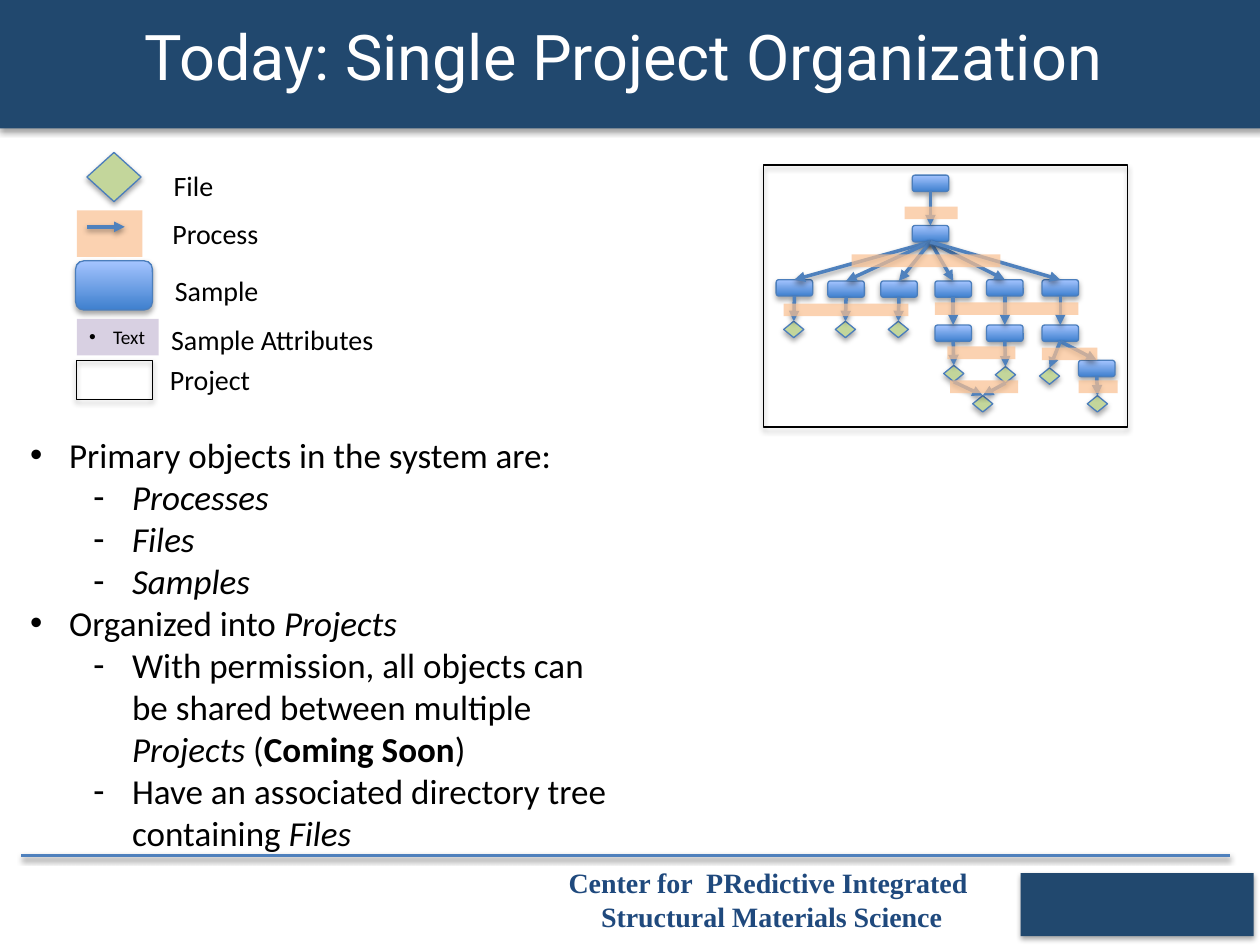
from lxml import etree
from pptx import Presentation
from pptx.dml.color import RGBColor
from pptx.enum.shapes import MSO_CONNECTOR, MSO_SHAPE
from pptx.enum.text import MSO_ANCHOR, MSO_AUTO_SIZE, PP_ALIGN
from pptx.oxml.ns import qn
from pptx.util import Inches, Pt

RECT, ROUND, DIAMOND = MSO_SHAPE.RECTANGLE, MSO_SHAPE.ROUNDED_RECTANGLE, MSO_SHAPE.DIAMOND
STRAIGHT = MSO_CONNECTOR.STRAIGHT
LEFT, CENTER = PP_ALIGN.LEFT, PP_ALIGN.CENTER
MIDDLE = MSO_ANCHOR.MIDDLE
GROW, FIXED = MSO_AUTO_SIZE.SHAPE_TO_FIT_TEXT, MSO_AUTO_SIZE.NONE
TOP, BOTTOM = 0, 2

NAVY, BLUE, OUTLINE = "21486E", "4F81BD", "4B7EBC"
GREEN, ORANGE, PURPLE = "C3D69B", "FAC090", "B3A2C7"
BLACK, WHITE, FOOTER = "000000", "FFFFFF", "1F497D"
SAMPLE_STOPS = ("3F80CE", "A4C4FF")


def rgb(value):
    return RGBColor.from_string(value)


def set_effects(sp, shadow, alpha=35, distance=1.8):
    """Replace the theme effects by a soft shadow below, or by none."""
    effects = etree.SubElement(sp._element.spPr, qn("a:effectLst"))
    if shadow:
        outer = etree.SubElement(effects, qn("a:outerShdw"), blurRad=str(Pt(3.1)),
                                 dist=str(Pt(distance)), dir="5400000", rotWithShape="0")
        color = etree.SubElement(outer, qn("a:srgbClr"), val=BLACK)
        etree.SubElement(color, qn("a:alpha"), val=str(alpha * 1000))


def set_bullet(p, char, indent, hanging):
    pPr = p._p.get_or_add_pPr()
    pPr.set("marL", str(Inches(indent)))
    pPr.set("indent", str(-Inches(hanging)))
    pPr.insert(0, etree.Element(qn("a:buFont"), typeface="Arial"))
    pPr.insert(1, etree.Element(qn("a:buChar"), char=char))


class Deck:
    """Holds the text style and the current slide."""

    def __init__(self, slide, font="Calibri", color=BLACK):
        self.shapes = slide.shapes
        self.font = font
        self.color = color

    def shape(self, kind, x, y, w, h, fill=None, line=None, alpha=None, shadow=True):
        sp = self.shapes.add_shape(kind, Inches(x), Inches(y), Inches(w), Inches(h))
        if fill is None:
            sp.fill.background()
        elif isinstance(fill, tuple):
            sp.fill.gradient()
            sp.fill.gradient_angle = 90
            for stop, color, position in zip(sp.fill.gradient_stops, fill, (0, 1)):
                stop.color.rgb = rgb(color)
                stop.position = position
        else:
            sp.fill.solid()
            sp.fill.fore_color.rgb = rgb(fill)
        if alpha:
            color = sp._element.spPr.find(qn("a:solidFill"))[0]
            etree.SubElement(color, qn("a:alpha"), val=str(alpha * 1000))
        if line:
            sp.line.color.rgb = rgb(line)
            sp.line.width = Pt(0.75)
        else:
            sp.line.fill.background()
        set_effects(sp, shadow)
        return sp

    def sample(self, x, y, w=0.29, h=0.13):
        return self.shape(ROUND, x, y, w, h, SAMPLE_STOPS, OUTLINE)

    def data_file(self, x, y, w=0.16, h=0.13):
        return self.shape(DIAMOND, x, y, w, h, GREEN, OUTLINE)

    def process(self, x, y, w, h=0.1):
        return self.shape(RECT, x, y, w, h, ORANGE, alpha=70, shadow=False)

    def project(self, x, y, w, h):
        return self.shape(RECT, x, y, w, h, line=BLACK)

    def line(self, x1, y1, x2, y2, arrow=False, ends=None):
        """Draw a line; ends are two shapes to join, bottom to top."""
        cx = self.shapes.add_connector(STRAIGHT, Inches(x1), Inches(y1), Inches(x2), Inches(y2))
        if ends:
            cx.begin_connect(ends[0], BOTTOM)
            cx.end_connect(ends[1], TOP)
        cx.line.color.rgb = rgb(BLUE)
        cx.line.width = Pt(2)
        if arrow:
            ln = cx._element.spPr.find(qn("a:ln"))
            etree.SubElement(ln, qn("a:tailEnd"), type="triangle")
        set_effects(cx, True, 38, 1.6)

    def link(self, start, end):
        self.line(0, 0, 0, 0, arrow=True, ends=(start, end))

    def paragraph(self, p, runs, size, align=LEFT, font=None, color=None, bold=None):
        """Fill a paragraph with (text, style) runs; style is '', 'i' or 'b'."""
        p.alignment = align
        p.font.size = Pt(size)
        p.font.name = font or self.font
        p.font.color.rgb = rgb(color or self.color)
        p.font.bold = bold
        styles = {style for _, style in runs}
        if styles == {"i"}:
            p.font.italic = True
        for text, style in runs:
            r = p.add_run()
            r.text = text
            if len(styles) > 1 and style:
                r.font.italic = style == "i"
                r.font.bold = style == "b"

    def text(self, x, y, w, h, paragraphs, size, wrap=True, auto_size=GROW, **style):
        box = self.shapes.add_textbox(Inches(x), Inches(y), Inches(w), Inches(h))
        tf = box.text_frame
        tf.word_wrap = wrap
        tf.auto_size = auto_size
        for i, runs in enumerate(paragraphs):
            p = tf.add_paragraph() if i else tf.paragraphs[0]
            self.paragraph(p, runs, size, **style)
        return tf


def add_frame(deck):
    deck.line(0.17, 6.79, 9.76, 6.79)
    deck.shape(RECT, 8.1, 6.93, 1.85, 0.5, NAVY)
    deck.text(3.71, 6.82, 4.83, 0.64,
              [[("Center for  PRedictive Integrated ", "")], [("Structural Materials Science", "")]],
              16, align=CENTER, font="Times New Roman", color=FOOTER, bold=True)
    deck.shape(RECT, 0, 0, 10.02, 1.02, NAVY)
    tf = deck.text(0.45, -0.14, 9, 1.16, [[("Today: Single Project Organization", "")]], 36,
                   auto_size=FIXED, align=CENTER, font="Roboto", color=WHITE)
    tf.vertical_anchor = MIDDLE
    tf.paragraphs[0].space_before = Pt(6)


def add_project_tree(deck):
    root, hub = [deck.sample(7.24, y) for y in (1.39, 1.79)]
    left = [deck.sample(x, y) for x, y in ((6.16, 2.22), (6.57, 2.23), (6.99, 2.23))]
    columns = (7.42, 7.83, 8.27)
    right = [deck.sample(x, y) for x, y in zip(columns, (2.23, 2.22, 2.22))]
    lower = [deck.sample(x, 2.58) for x in columns]
    last = deck.sample(8.56, 2.86)
    left_files = [deck.data_file(x, 2.55) for x in (6.22, 6.63, 7.05)]
    pair = [deck.data_file(7.49, 2.9), deck.data_file(7.9, 2.91)]
    merged, last_file = [deck.data_file(x, 3.14) for x in (7.72, 8.63)]
    side_file = deck.data_file(8.25, 2.92)

    links = [(root, hub), *((hub, s) for s in left + right),
             *zip(left, left_files), *zip(right, lower), *zip(lower, pair),
             (lower[2], last), (lower[2], side_file),
             *((f, merged) for f in pair), (last, last_file)]
    for start, end in links:
        deck.link(start, end)
    for x, y, w in ((7.18, 1.64, 0.42), (6.76, 2.02, 1.18), (6.22, 2.41, 0.99),
                    (7.42, 2.4, 1.14), (7.52, 2.75, 0.54), (8.27, 2.76, 0.44),
                    (7.54, 3.02, 0.54), (8.56, 3.02, 0.31)):
        deck.process(x, y, w)
    deck.project(6.06, 1.31, 2.89, 2.08)


def add_legend(deck):
    deck.data_file(0.69, 1.21, 0.43, 0.39)
    deck.process(0.61, 1.67, 0.52, 0.37)
    deck.line(0.69, 1.8, 0.99, 1.8, arrow=True)
    deck.sample(0.6, 2.07, 0.61, 0.39)
    chip = deck.shape(RECT, 0.61, 2.53, 0.65, 0.29, PURPLE, alpha=50, shadow=False)
    tf = chip.text_frame
    tf.word_wrap = False
    deck.paragraph(tf.paragraphs[0], [("Text", "")], 11)
    set_bullet(tf.paragraphs[0], "•", 0.19, 0.19)
    deck.project(0.61, 2.86, 0.6, 0.31)
    for label, x, y, w in (("File", 1.28, 1.29, 0.52), ("Process", 1.27, 1.67, 0.9),
                           ("Sample", 1.29, 2.12, 0.87), ("Sample Attributes", 1.26, 2.51, 1.84),
                           ("Project", 1.25, 2.83, 0.85)):
        deck.text(x, y, w, 0.37, [[(label, "")]], 16, wrap=False)


def add_body(deck):
    items = [
        (0, [("Primary objects in the system are:", "")]),
        (1, [("Processes", "i")]),
        (1, [("Files", "i")]),
        (1, [("Samples", "i")]),
        (0, [("Organized into ", ""), ("Projects", "i")]),
        (1, [("With permission, all objects can be shared between multiple ", ""),
             ("Projects", "i"), (" (", ""), ("Coming Soon", "b"), (")", "")]),
        (1, [("Have an associated directory tree containing ", ""), ("Files", "i")]),
    ]
    tf = deck.text(0.14, 3.39, 4.81, 3.8, [runs for _, runs in items], 20)
    for p, (level, _) in zip(tf.paragraphs, items):
        p.level = level
        set_bullet(p, "•-"[level], 0.31 + 0.5 * level, 0.31)


def main():
    prs = Presentation()
    prs.slide_width, prs.slide_height = Inches(10), Inches(7.5)
    deck = Deck(prs.slides.add_slide(prs.slide_layouts[6]))
    add_frame(deck)
    add_project_tree(deck)
    add_legend(deck)
    add_body(deck)
    prs.save("out.pptx")


if __name__ == "__main__":
    main()
